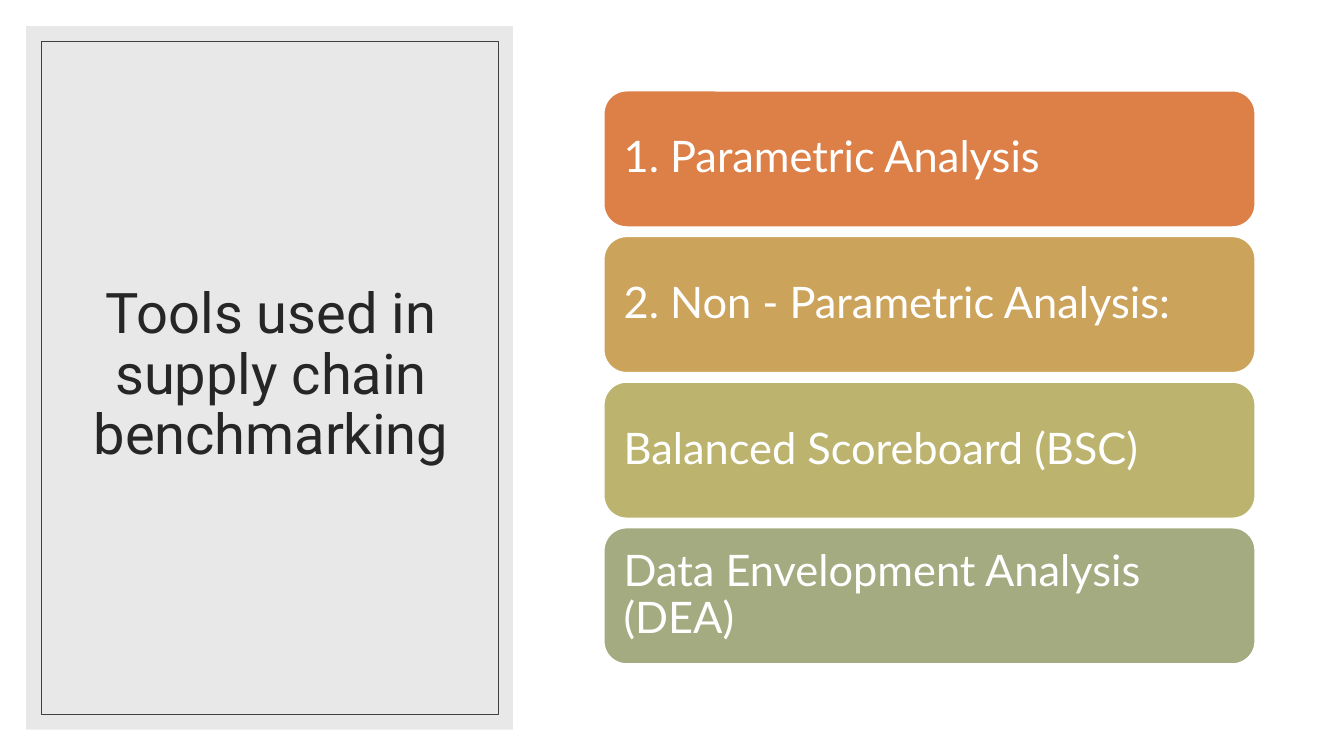
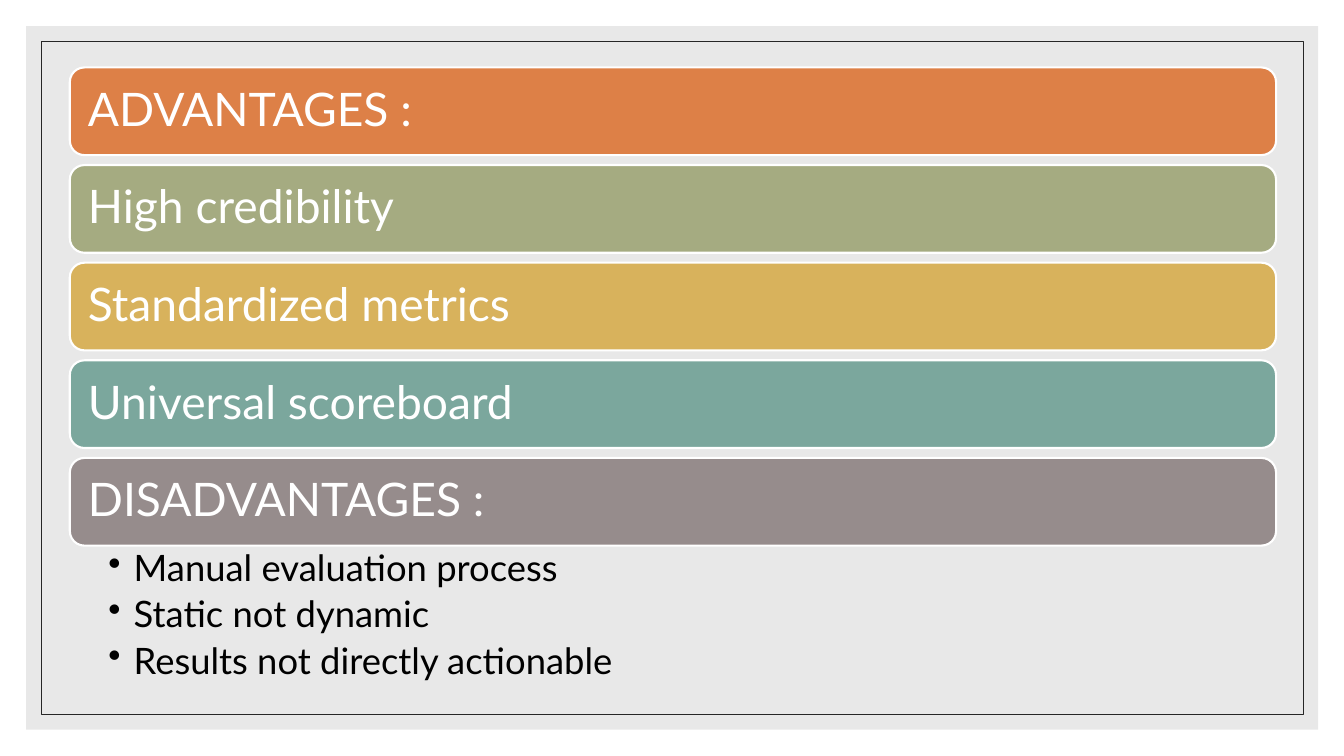
import pptx
import pptx.dml.color
import pptx.enum.shapes
import pptx.enum.text
import pptx.util
from lxml import etree

Cm = pptx.util.Cm
Pt = pptx.util.Pt
RGBColor = pptx.dml.color.RGBColor
MSO_SHAPE = pptx.enum.shapes.MSO_SHAPE
MSO_ANCHOR = pptx.enum.text.MSO_ANCHOR
PP_ALIGN = pptx.enum.text.PP_ALIGN

WHITE = RGBColor(0xFF, 0xFF, 0xFF)
BLACK = RGBColor(0x00, 0x00, 0x00)
PANEL_GREY = RGBColor(0xE8, 0xE8, 0xE8)
FRAME_GREY = RGBColor(0x40, 0x40, 0x40)
DARK_GREY = RGBColor(0x26, 0x26, 0x26)
ORANGE = RGBColor(0xDD, 0x80, 0x47)
OCHRE = RGBColor(0xCC, 0xA3, 0x5B)
OLIVE = RGBColor(0xBB, 0xB3, 0x6E)
SAGE = RGBColor(0xA5, 0xAB, 0x81)
GOLD = RGBColor(0xD8, 0xB2, 0x5C)
TEAL = RGBColor(0x7B, 0xA7, 0x9D)
TAUPE = RGBColor(0x96, 0x8C, 0x8C)

TITLE_FONT = "Roboto"
BODY_FONT = "Lato"
PANEL_MARGIN = 0.66
FRAME_INSET = 0.38
PANEL_HEIGHT = 17.73

TOOLS = [
    ("1. Parametric Analysis", ORANGE),
    ("2. Non - Parametric Analysis:", OCHRE),
    ("Balanced Scoreboard (BSC)", OLIVE),
    ("Data Envelopment Analysis (DEA)", SAGE),
]
ASSESSMENT = [
    ("ADVANTAGES :", ORANGE),
    ("High credibility", SAGE),
    ("Standardized metrics", GOLD),
    ("Universal scoreboard", TEAL),
    ("DISADVANTAGES :", TAUPE),
]
DRAWBACKS = [
    "Manual evaluation process",
    "Static not dynamic",
    "Results not directly actionable",
]


def add_block(slide, preset, box, fill=None, line=None, line_width=0.5):
    block = slide.shapes.add_shape(preset, *map(Cm, box))
    block.shadow.inherit = False
    if fill is None:
        block.fill.background()
    else:
        block.fill.solid()
        block.fill.fore_color.rgb = fill
    if line is None:
        block.line.fill.background()
    else:
        block.line.color.rgb = line
        block.line.width = Pt(line_width)
    return block


def set_text(frame, text, font, size, color, align=PP_ALIGN.LEFT):
    frame.word_wrap = True
    frame.text = text
    for paragraph in frame.paragraphs:
        paragraph.alignment = align
        paragraph.line_spacing = 0.9
        for run in paragraph.runs:
            run.font.name = font
            run.font.size = Pt(size)
            run.font.color.rgb = color


def add_framed_panel(slide, width, frame_color):
    """Grey panel with a thin outline set inside its edge."""
    add_block(slide, MSO_SHAPE.RECTANGLE,
              (PANEL_MARGIN, PANEL_MARGIN, width, PANEL_HEIGHT), fill=PANEL_GREY)
    frame_start = PANEL_MARGIN + FRAME_INSET
    add_block(slide, MSO_SHAPE.RECTANGLE,
              (frame_start, frame_start,
               width - 2 * FRAME_INSET, PANEL_HEIGHT - 2 * FRAME_INSET),
              line=frame_color)


def add_title(slide, text, box):
    title = slide.shapes.add_textbox(*map(Cm, box)).text_frame
    title.vertical_anchor = MSO_ANCHOR.MIDDLE
    set_text(title, text, TITLE_FONT, 40, DARK_GREY, PP_ALIGN.CENTER)


def add_bars(slide, entries, first_box, gap, size, inset, line_width):
    """Stack one rounded bar per entry, starting at first_box."""
    left, top, width, height = first_box
    for row, (label, color) in enumerate(entries):
        bar = add_block(slide, MSO_SHAPE.ROUNDED_RECTANGLE,
                        (left, top + row * (height + gap), width, height),
                        color, WHITE, line_width)
        frame = bar.text_frame
        frame.vertical_anchor = MSO_ANCHOR.MIDDLE
        frame.margin_left = frame.margin_right = Cm(inset)
        frame.margin_top = frame.margin_bottom = Cm(inset)
        set_text(frame, label, BODY_FONT, size, WHITE)


def add_bullets(slide, items, box):
    frame = slide.shapes.add_textbox(*map(Cm, box)).text_frame
    frame.margin_left = Cm(0.97)
    frame.margin_right = Cm(0.66)
    set_text(frame, "\n".join(items), BODY_FONT, 26, BLACK)
    for paragraph in frame.paragraphs:
        paragraph.space_after = Pt(5)
        properties = paragraph._p.get_or_add_pPr()
        properties.set("marL", str(Cm(0.64)))
        properties.set("indent", str(-Cm(0.64)))
        bullet = etree.SubElement(properties, pptx.oxml.ns.qn("a:buChar"))
        bullet.set("char", "•")


def build_tools_slide(slide):
    add_framed_panel(slide, 12.27, FRAME_GREY)
    add_title(slide, "Tools used in supply chain benchmarking",
              (1.6, 1.55, 10.46, 15.85))
    add_bars(slide, TOOLS, (15.22, 2.29, 16.41, 3.43),
             gap=0.24, size=31, inset=0.33, line_width=1)


def build_assessment_slide(slide):
    add_framed_panel(slide, 32.56, DARK_GREY)
    add_bars(slide, ASSESSMENT, (1.76, 1.7, 30.4, 2.21),
             gap=0.25, size=33, inset=0.35, line_width=1.5)
    add_bullets(slide, DRAWBACKS, (1.76, 13.74, 30.4, 3.71))


def main():
    deck = pptx.Presentation()
    deck.slide_width = Cm(33.87)
    deck.slide_height = Cm(19.05)
    blank = deck.slide_layouts[6]
    for build in (build_tools_slide, build_assessment_slide):
        build(deck.slides.add_slide(blank))
    deck.save("out.pptx")


if __name__ == "__main__":
    main()
